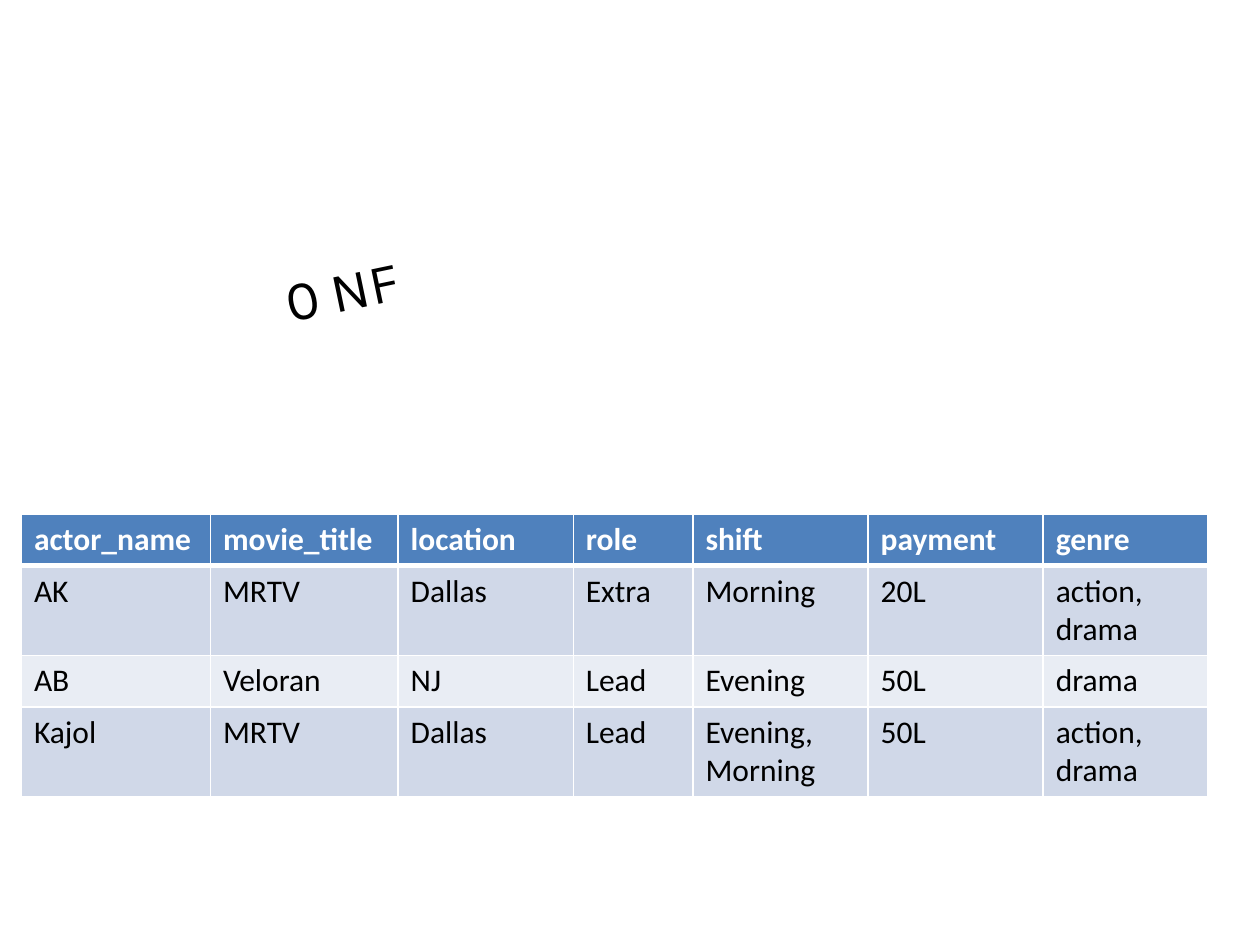
from lxml.etree import SubElement
from pptx import Presentation
from pptx.dml.color import RGBColor
from pptx.enum.text import MSO_ANCHOR, PP_ALIGN
from pptx.oxml.ns import qn
from pptx.util import Inches, Pt

COLORS = {
    "text": "000000",
    "header": "4F81BD",
    "header_text": "FFFFFF",
    "border": "FFFFFF",
    "odd_row": "D0D8E8",
    "even_row": "E9EDF4",
}
COLUMN_WIDTHS = [1.5, 1.49, 1.39, 0.95, 1.39, 1.39, 1.31]
ROW_HEIGHT = 0.41
ROWS = [
    ["actor_name", "movie_title", "location", "role", "shift", "payment", "genre"],
    ["AK", "MRTV", "Dallas", "Extra", "Morning", "20L", "action, drama"],
    ["AB", "Veloran", "NJ", "Lead", "Evening", "50L", "drama"],
    ["Kajol", "MRTV", "Dallas", "Lead", "Evening, Morning", "50L", "action, drama"],
]


def rgb(name):
    return RGBColor.from_string(COLORS[name])


def write_text(tf, text, size=18, font="Calibri", color="text", bold=False, align=PP_ALIGN.LEFT):
    p = tf.paragraphs[0]
    p.alignment = align
    r = p.add_run()
    r.text = text
    r.font.size = Pt(size)
    r.font.name = font
    r.font.bold = bold
    r.font.color.rgb = rgb(color)


def add_borders(cell, **widths):
    tc_pr = cell._tc.get_or_add_tcPr()
    for side in ("L", "R", "T", "B"):
        ln = SubElement(tc_pr, qn(f"a:ln{side}"), w=str(Pt(widths.get(side, 1))))
        fill = SubElement(ln, qn("a:solidFill"))
        SubElement(fill, qn("a:srgbClr"), val=COLORS["border"])


def add_title(slide, text):
    sp = slide.shapes.title
    sp.left, sp.top, sp.width, sp.height = map(Inches, (1.42, 1.67, 2.58, 1.25))
    sp.rotation = 348.2
    sp.text_frame.vertical_anchor = MSO_ANCHOR.MIDDLE
    write_text(sp.text_frame, text, size=32, font="Karla", align=PP_ALIGN.CENTER)


def add_actor_table(slide, rows):
    frame = slide.shapes.add_table(
        len(rows), len(COLUMN_WIDTHS), Inches(0.17), Inches(4.08),
        Inches(sum(COLUMN_WIDTHS)), Inches(ROW_HEIGHT * len(rows)))
    table = frame.table
    for column, width in zip(table.columns, COLUMN_WIDTHS):
        column.width = Inches(width)
    for i, values in enumerate(rows):
        table.rows[i].height = Inches(ROW_HEIGHT)
        header = i == 0
        fill = "header" if header else "odd_row" if i % 2 else "even_row"
        for j, value in enumerate(values):
            cell = table.cell(i, j)
            add_borders(cell, T=3 if i == 1 else 1, B=3 if header else 1)
            cell.fill.solid()
            cell.fill.fore_color.rgb = rgb(fill)
            write_text(cell.text_frame, value, bold=header,
                       color="header_text" if header else "text")


def main():
    prs = Presentation()
    prs.slide_width, prs.slide_height = Inches(10), Inches(7.5)
    slide = prs.slides.add_slide(prs.slide_layouts[5])
    add_title(slide, "0 NF")
    add_actor_table(slide, ROWS)
    prs.save("out.pptx")


if __name__ == "__main__":
    main()
